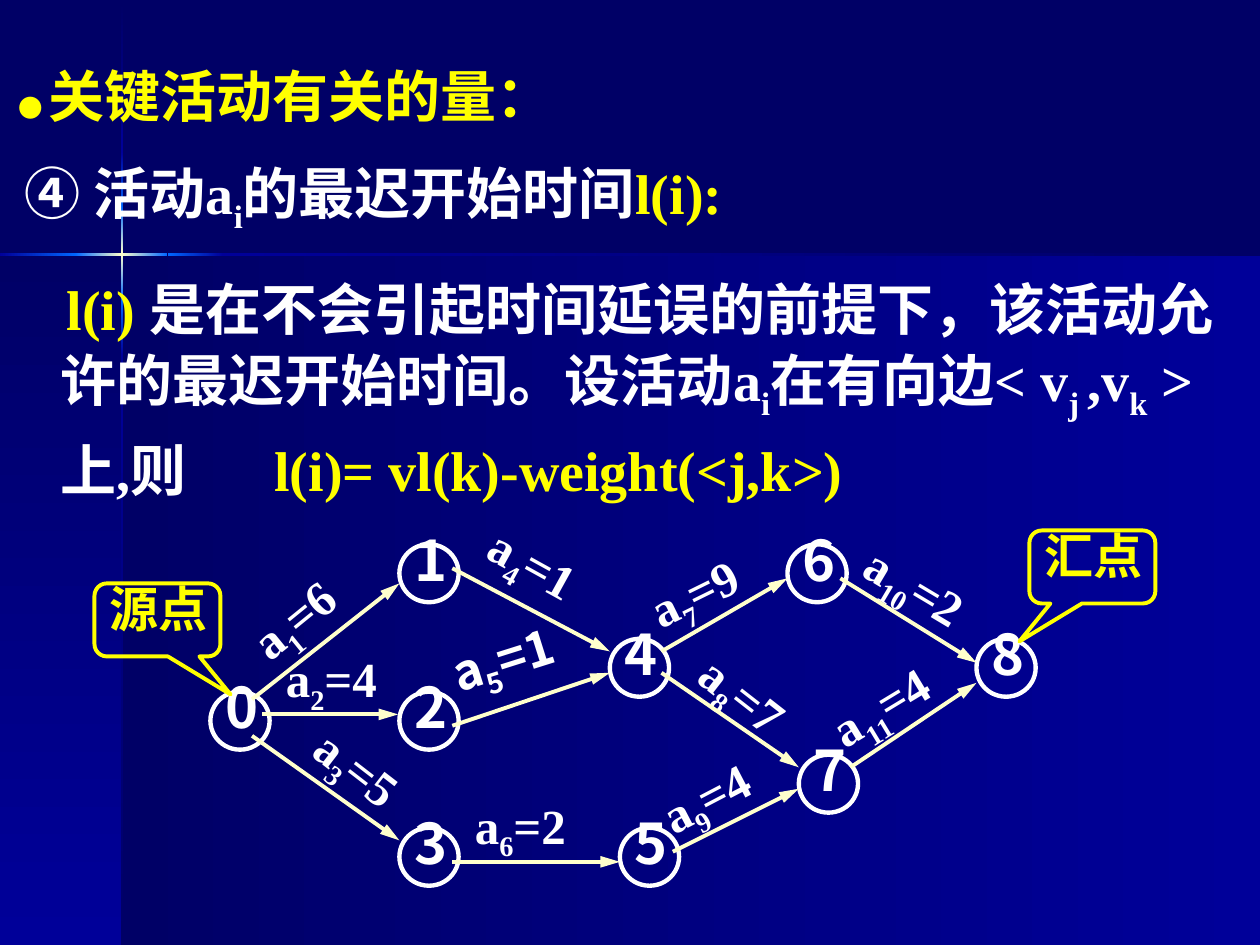
from copy import deepcopy
from dataclasses import dataclass

from pptx import Presentation
from pptx.dml.color import RGBColor
from pptx.enum.shapes import MSO_CONNECTOR, MSO_SHAPE
from pptx.enum.text import PP_ALIGN
from pptx.oxml.ns import qn
from pptx.util import Inches, Pt


@dataclass(frozen=True)
class Theme:
    navy: str = "000066"
    blue: str = "000099"
    glow: str = "0066FF"
    cream: str = "FFFFCC"
    white: str = "FFFFFF"
    yellow: str = "FFFF00"
    latin: str = "Times New Roman"
    chinese: str = "Noto Sans CJK SC"
    bullet_size: int = 14
    label_size: int = 28
    body_size: int = 32


theme = Theme()
deck = Presentation()
deck.slide_width, deck.slide_height = Inches(10), Inches(7.5)
page = deck.slides.add_slide(deck.slide_layouts[6])
page.background.fill.solid()
page.background.fill.fore_color.rgb = RGBColor.from_string(theme.navy)


def add_box(left, top, width, height, margins=(0.1, 0.05, 0.1, 0.05), wrap=True):
    """Add a text box; margins are left, top, right, bottom in inches."""
    box = page.shapes.add_textbox(Inches(left), Inches(top), Inches(width), Inches(height))
    frame = box.text_frame
    frame.word_wrap = wrap
    (frame.margin_left, frame.margin_top,
     frame.margin_right, frame.margin_bottom) = map(Inches, margins)
    return box


def add_run(para, text, color, size, font=theme.latin, subscript=False):
    span = para.add_run()
    span.text = text
    span.font.name = font
    span.font.size = Pt(size)
    span.font.bold = True
    span.font.color.rgb = RGBColor.from_string(color)
    properties = span._r.get_or_add_rPr()
    east_asian = properties.makeelement(qn("a:ea"), {"typeface": theme.chinese})
    properties.find(qn("a:latin")).addnext(east_asian)
    if subscript:
        properties.set("baseline", "-25000")
    return span


# Backdrop: two panels and a glowing cross; angle 270 runs downwards
right, down = 0, 270
backdrop = [
    (0.97, 2.02, 9.03, 5.48, right, (theme.navy, theme.blue)),
    (0, 2.02, 0.97, 5.48, down, (theme.navy, theme.blue)),
    (0.96, 0.01, 0.02, 1.2, down, (theme.navy, theme.blue)),
    (0.96, 2.82, 0.02, 4.68, down, (theme.blue, theme.navy)),
    (1.77, 2.01, 8.23, 0.02, right, (theme.blue, theme.navy)),
    (0.96, 2.38, 0.02, 0.44, down, (theme.glow, theme.blue)),
    (0.96, 1.21, 0.02, 0.44, down, (theme.blue, theme.glow)),
    (0.96, 1.65, 0.02, 0.73, down, (theme.glow, theme.cream, theme.glow)),
    (0, 2.01, 0.61, 0.02, right, (theme.blue, theme.glow)),
    (1.33, 2.01, 0.44, 0.02, right, (theme.glow, theme.blue)),
    (0.6, 2.01, 0.73, 0.02, right, (theme.glow, theme.cream, theme.glow)),
]
for left, top, width, height, angle, colors in backdrop:
    panel = page.shapes.add_shape(
        MSO_SHAPE.RECTANGLE, Inches(left), Inches(top), Inches(width), Inches(height))
    panel.shadow.inherit = False
    panel.line.fill.background()
    panel.fill.gradient()
    panel.fill.gradient_angle = angle
    stop_list = panel._element.spPr.find(".//" + qn("a:gsLst"))
    if len(colors) == 3:
        middle = deepcopy(stop_list[0])
        middle.set("pos", "50000")
        stop_list.insert(1, middle)
    for stop, color in zip(panel.fill.gradient_stops, colors):
        stop.color.rgb = RGBColor.from_string(color)

# Explanation: first-line indent, then (text, colour, subscript) runs
heading = [("关键活动有关的量：", theme.yellow, False)]
topic = [
    ("④ 活动a", theme.white, False), ("i", theme.white, True),
    ("的最迟开始时间", theme.white, False), ("l(i):", theme.yellow, False),
]
definition = [
    ("l(i) ", theme.yellow, False),
    ("是在不会引起时间延误的前提下，该活动允许的最迟开始时间。设活动a", theme.white, False),
    ("i", theme.white, True), ("在有向边< v", theme.white, False),
    ("j ", theme.white, True), (",v", theme.white, False),
    ("k", theme.white, True), (" >上,则", theme.white, False),
    (" ", theme.white, False), ("l(i)= vl(k)-weight(<j,k>)", theme.yellow, False),
]
frame = add_box(0, 0.33, 10, 7.17).text_frame
for index, (indent, runs) in enumerate([(-0.33, heading), (-0.28, topic), (0.05, definition)]):
    para = frame.paragraphs[0] if index == 0 else frame.add_paragraph()
    para.line_spacing = Pt(46)
    if index:
        para.space_before = Pt(15)
    para_properties = para._p.get_or_add_pPr()
    para_properties.set("marL", str(Inches(0.38)))
    para_properties.set("indent", str(Inches(indent)))
    if index == 0:
        add_run(para, "● ", theme.yellow, theme.bullet_size, theme.chinese)
    for text, color, subscript in runs:
        font = theme.chinese if runs is heading else theme.latin
        span = add_run(para, text, color, theme.body_size, font, subscript)
        if text == " ":  # widened gap before the formula
            span._r.get_or_add_rPr().set("spc", "4300")

# Event nodes
nodes = {
    "3": (3.17, 6.57), "2": (3.17, 5.49), "5": (4.92, 6.57),
    "1": (3.17, 4.32), "4": (4.84, 5.07), "0": (1.67, 5.49),
    "8": (7.75, 5.07), "6": (6.25, 4.32), "7": (6.34, 5.99),
}
for number, (left, top) in nodes.items():
    node = page.shapes.add_shape(
        MSO_SHAPE.OVAL, Inches(left), Inches(top), Inches(0.47), Inches(0.46))
    node.shadow.inherit = False
    node.fill.background()
    node.line.color.rgb = RGBColor.from_string(theme.white)
    node.line.width = Pt(2.5)
    box = add_box(left + 0.02, top - 0.15, 0.34, 0.63, (0.1, 0, 0, 0), wrap=False)
    para = box.text_frame.paragraphs[0]
    para.alignment = PP_ALIGN.CENTER
    add_run(para, number, theme.white, theme.body_size, theme.chinese)

# Activity labels: index, duration, left, top, width, rotation
activities = [
    ("1", 6, 1.81, 4.51, 1.17, 320.9), ("8", 7, 5.42, 5.34, 1.42, 38),
    ("7", 9, 5, 4.26, 1.42, 333.8), ("6", 2, 3.67, 6.21, 1.42, 0),
    ("4", 1, 3.77, 4.26, 1.42, 28.9), ("5", 1, 3.49, 4.93, 1.42, 342.4),
    ("3", 5, 2.36, 5.92, 1.42, 37.7), ("2", 4, 2.17, 5.05, 1.42, 0),
    ("9", 4, 5.09, 5.88, 1.42, 332.4), ("11", 4, 6.42, 5.17, 1.42, 328.8),
    ("10", 2, 6.75, 4.42, 1.42, 30.9),
]
for index, duration, left, top, width, rotation in activities:
    font = theme.chinese if index == "5" else theme.latin
    margin_top = 0 if index == "5" else 0.1
    box = add_box(left, top, width, 0.57, (0.1, margin_top, 0.1, 0))
    box.rotation = rotation
    para = box.text_frame.paragraphs[0]
    for text, subscript in [("a", False), (index, True), (f"={duration}", False)]:
        add_run(para, text, theme.white, theme.label_size, font, subscript)

# Activity arrows: start x, start y, end x, end y
arrows = [
    (2.08, 5.67, 3.16, 5.67), (2, 5.55, 3.17, 4.63), (2, 5.84, 3.17, 6.67),
    (3.59, 5.76, 4.84, 5.34), (3.59, 4.51, 4.84, 5.17), (3.59, 6.84, 4.92, 6.84),
    (5.34, 6.76, 6.34, 6.26), (5.25, 5.17, 6.25, 4.59), (5.25, 5.34, 6.34, 6.09),
    (6.75, 6.09, 7.75, 5.42), (6.67, 4.59, 7.75, 5.26),
]
for ends in arrows:
    arrow = page.shapes.add_connector(MSO_CONNECTOR.STRAIGHT, *map(Inches, ends))
    arrow.line.color.rgb = RGBColor.from_string(theme.cream)
    arrow.line.width = Pt(2.25)
    outline = arrow.line._get_or_add_ln()
    outline.append(outline.makeelement(
        qn("a:tailEnd"), {"type": "triangle", "w": "med", "len": "lg"}))
    shape_properties = arrow._element.spPr
    shape_properties.append(shape_properties.makeelement(qn("a:effectLst"), {}))

# Source and sink callouts
for text, left, top, tail in [("汇点", 8.17, 4.21, -0.583), ("源点", 0.75, 4.63, 0.583)]:
    box = add_box(left - 0.08, top - 0.04, 1.17, 0.57, (0.1, 0, 0.1, 0))
    para = box.text_frame.paragraphs[0]
    para.alignment = PP_ALIGN.CENTER
    add_run(para, text, theme.yellow, theme.label_size, theme.chinese)
    callout = page.shapes.add_shape(
        MSO_SHAPE.ROUNDED_RECTANGULAR_CALLOUT,
        Inches(left), Inches(top), Inches(1), Inches(0.58))
    callout.shadow.inherit = False
    callout.fill.background()
    callout.line.color.rgb = RGBColor.from_string(theme.yellow)
    callout.line.width = Pt(2.25)
    callout.adjustments[0] = round(tail, 2)
    callout.adjustments[1] = 1.02
    callout.adjustments[2] = 0.17

deck.save("out.pptx")
